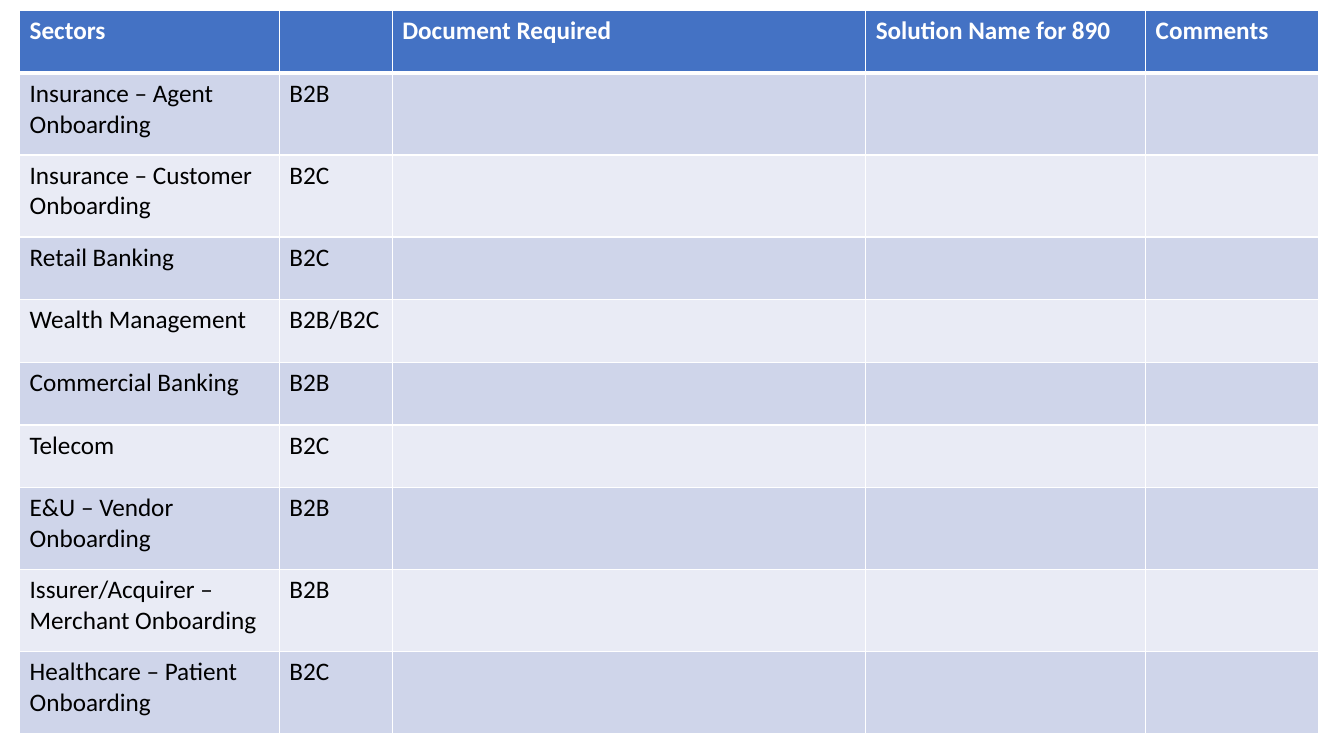
import pptx
import pptx.util
import pptx.dml.color
import pptx.oxml.ns
import lxml.etree


def color(hex_string):
    return pptx.dml.color.RGBColor.from_string(hex_string)


class SlideBuilder:
    header_fill = "4472C4"
    band_fills = ("CFD5EA", "E9EBF5")
    border_color = "FFFFFF"
    header_font = {"name": "Calibri", "size": pptx.util.Pt(18), "bold": True}
    body_font = {**header_font, "bold": False}

    def __init__(self, slide):
        self.slide = slide

    def cell_text(self, cell, text, font_format, font_color):
        paragraph = cell.text_frame.paragraphs[0]
        if text:
            paragraph.add_run().text = text
        for font in [paragraph.font] + [run.font for run in paragraph.runs]:
            for name, value in font_format.items():
                setattr(font, name, value)
            font.color.rgb = color(font_color)

    def cell_border(self, cell, widths):
        properties = cell._tc.get_or_add_tcPr()
        for side, width in widths.items():
            line = lxml.etree.SubElement(
                properties, pptx.oxml.ns.qn("a:ln" + side), w=str(pptx.util.Pt(width)))
            fill = lxml.etree.SubElement(line, pptx.oxml.ns.qn("a:solidFill"))
            lxml.etree.SubElement(
                fill, pptx.oxml.ns.qn("a:srgbClr"), val=self.border_color)

    def table(self, left, top, column_widths, row_heights, rows):
        shape = self.slide.shapes.add_table(
            len(row_heights), len(column_widths),
            pptx.util.Pt(left), pptx.util.Pt(top),
            pptx.util.Pt(sum(column_widths)), pptx.util.Pt(sum(row_heights)))
        table = shape.table
        for column, width in zip(table.columns, column_widths):
            column.width = pptx.util.Pt(width)
        for index, (row, height, texts) in enumerate(zip(table.rows, row_heights, rows)):
            row.height = pptx.util.Pt(height)
            is_header = index == 0
            fill = self.header_fill if is_header else self.band_fills[(index - 1) % 2]
            font_format = self.header_font if is_header else self.body_font
            font_color = "FFFFFF" if is_header else "000000"
            widths = {"L": 1, "R": 1, "T": 3 if index == 1 else 1, "B": 3 if is_header else 1}
            for column_index, cell in enumerate(row.cells):
                text = texts[column_index] if column_index < len(texts) else ""
                self.cell_text(cell, text, font_format, font_color)
                self.cell_border(cell, widths)
                cell.fill.solid()
                cell.fill.fore_color.rgb = color(fill)


presentation = pptx.Presentation()
presentation.slide_width = pptx.util.Pt(960)
presentation.slide_height = pptx.util.Pt(540)
builder = SlideBuilder(presentation.slides.add_slide(presentation.slide_layouts[6]))

headings = ("Sectors", "", "Document Required", "Solution Name for 890", "Comments")
sectors = [
    ("Insurance – Agent Onboarding", "B2B"),
    ("Insurance – Customer Onboarding", "B2C"),
    ("Retail Banking", "B2C"),
    ("Wealth Management", "B2B/B2C"),
    ("Commercial Banking", "B2B"),
    ("Telecom", "B2C"),
    ("E&U – Vendor Onboarding", "B2B"),
    ("Issurer/Acquirer – Merchant Onboarding", "B2B"),
    ("Healthcare – Patient Onboarding", "B2C"),
]
single_height, double_height = 44.8, 58.5
row_heights = [single_height] + [
    double_height if "Onboarding" in sector else single_height for sector, _ in sectors]

builder.table(14, 7.5, [185.6, 80.6, 338.2, 200, 123.6], row_heights, [headings] + sectors)
presentation.save("out.pptx")
